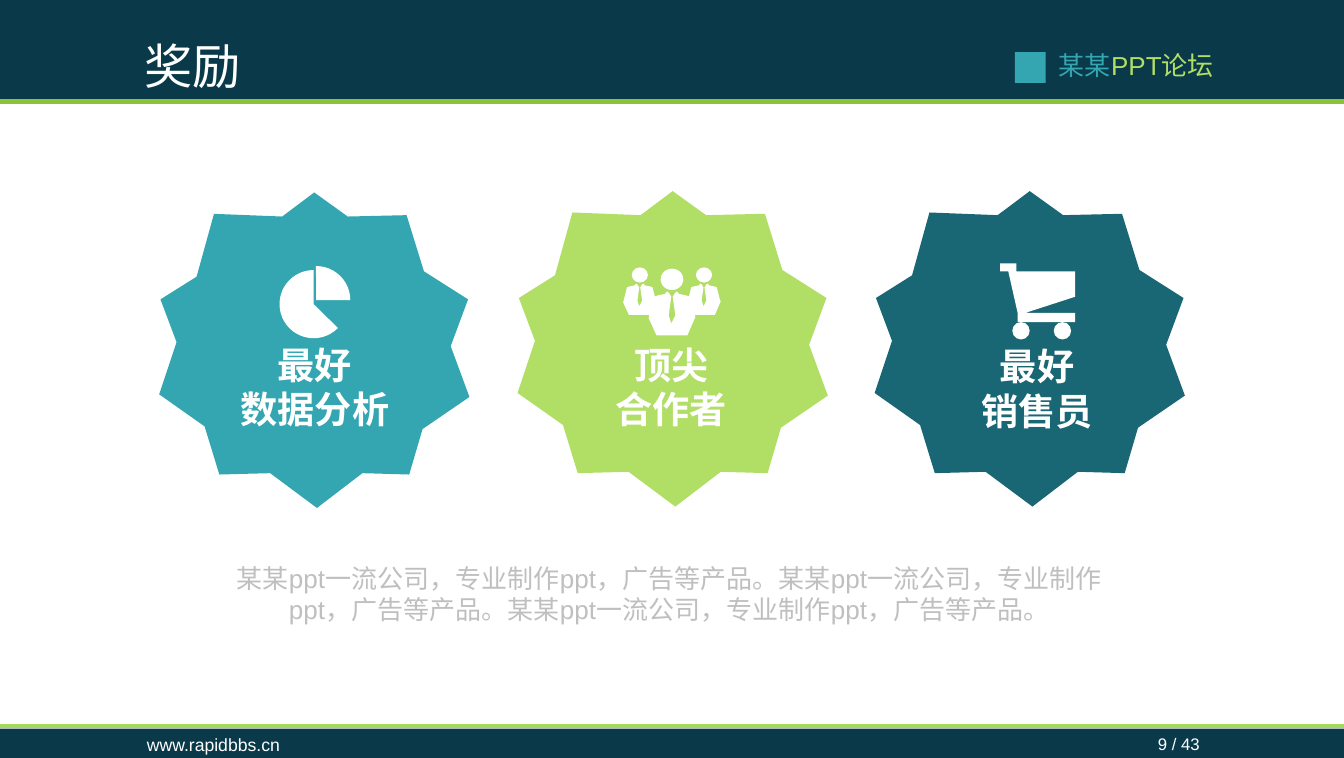
from lxml.etree import SubElement
from pptx import Presentation
from pptx.dml.color import RGBColor
from pptx.enum.shapes import MSO_CONNECTOR, MSO_SHAPE
from pptx.enum.text import PP_ALIGN
from pptx.oxml.ns import qn
from pptx.util import Inches, Pt

NAVY = RGBColor(0x0A, 0x3A, 0x4A)
TEAL = RGBColor(0x33, 0xA6, 0xB2)
DARK_TEAL = RGBColor(0x19, 0x66, 0x74)
LIME = RGBColor(0xB1, 0xDE, 0x64)
HEADER_GREEN = RGBColor(0x88, 0xC3, 0x3A)
FOOTER_GREEN = RGBColor(0xA7, 0xD7, 0x5B)
GRAY = RGBColor(0xBF, 0xBF, 0xBF)
WHITE = RGBColor(0xFF, 0xFF, 0xFF)

BAND_WIDTH = 10.07
BADGE_POINTS = [
    (0, 0), (0.25, 0.18), (0.69, 0.17), (0.82, 0.59), (1.15, 0.8),
    (1.02, 1.15), (1.16, 1.53), (0.81, 1.77), (0.71, 2.11), (0.36, 2.1),
    (0.02, 2.36), (-0.33, 2.1), (-0.71, 2.11), (-0.82, 1.75), (-1.16, 1.51),
    (-1.03, 1.12), (-1.15, 0.8), (-0.88, 0.63), (-0.75, 0.16), (-0.24, 0.18),
]
PERSON_POINTS = [
    (0.14, 0.17), (0.15, 0.18), (0.17, 0.21), (0.15, 0.35), (0.17, 0.41),
    (0.2, 0.35), (0.18, 0.21), (0.2, 0.18), (0.21, 0.17), (0.23, 0.19),
    (0.28, 0.2), (0.31, 0.21), (0.34, 0.33), (0.35, 0.36), (0.29, 0.5),
    (0.06, 0.5), (0, 0.37), (0.04, 0.21), (0.07, 0.2), (0.12, 0.19),
]
CART_POINTS = [
    (0, 0), (0.12, 0), (0.12, 0.06), (0.56, 0.06), (0.56, 0.25), (0.19, 0.37),
    (0.56, 0.37), (0.56, 0.44), (0.13, 0.44), (0.13, 0.37), (0.06, 0.06), (0, 0.06),
]
BADGES = [
    (2.35, 1.44, TEAL, 1.58, 2.51, 1.55, ("最好", "数据分析")),
    (5.03, 1.43, LIME, 4.31, 2.51, 1.42, ("顶尖", "合作者")),
    (7.7, 1.43, DARK_TEAL, 6.98, 2.52, 1.55, ("最好", "销售员")),
]
DESCRIPTION = "某某ppt一流公司，专业制作ppt，广告等产品。" * 3


def paint(shape, color):
    """Give a shape a plain fill without line or shadow."""
    shape.shadow.inherit = False
    shape.fill.solid()
    shape.fill.fore_color.rgb = color
    shape.line.fill.background()


def add_preset(slide, kind, left, top, width, height, color):
    """Add a filled preset shape."""
    shape = slide.shapes.add_shape(
        kind, Inches(left), Inches(top), Inches(width), Inches(height))
    paint(shape, color)
    return shape


def add_outline(slide, left, top, points, color, scale=1):
    """Add a filled polygon from points relative to left and top."""
    corners = [(Inches(left + x * scale), Inches(top + y * scale)) for x, y in points]
    builder = slide.shapes.build_freeform(*corners[0])
    builder.add_line_segments(corners[1:], close=True)
    paint(builder.convert_to_shape(), color)


def add_rule(slide, top, color):
    """Add a horizontal line across the slide."""
    rule = slide.shapes.add_connector(
        MSO_CONNECTOR.STRAIGHT, 0, Inches(top), Inches(BAND_WIDTH), Inches(top))
    rule.line.color.rgb = color
    rule.line.width = Pt(2.5)
    SubElement(rule._element.spPr, qn("a:effectLst"))


def add_text(slide, left, top, width, height, lines, size,
             align=PP_ALIGN.LEFT, bold=False):
    """Add a text box whose lines are lists of text and colour runs."""
    box = slide.shapes.add_textbox(
        Inches(left), Inches(top), Inches(width), Inches(height))
    frame = box.text_frame
    frame.word_wrap = True
    for index, runs in enumerate(lines):
        paragraph = frame.add_paragraph() if index else frame.paragraphs[0]
        paragraph.alignment = align
        for text, color in runs:
            run = paragraph.add_run()
            run.text = text
            run.font.name = "Arial"
            run.font.size = Pt(size)
            run.font.bold = bold
            run.font.color.rgb = color


def add_pie(slide, left, top, start, end):
    """Add a pie slice between two clockwise angles in degrees."""
    pie = add_preset(slide, MSO_SHAPE.PIE, left, top, 0.51, 0.51, WHITE)
    pie.adjustments[0] = start * 0.6
    pie.adjustments[1] = end * 0.6


def add_person(slide, left, top, scale):
    """Add a person with a tie."""
    add_outline(slide, left, top, PERSON_POINTS, WHITE, scale)
    add_preset(slide, MSO_SHAPE.OVAL, left + 0.09 * scale, top,
               0.17 * scale, 0.16 * scale, WHITE)


def add_cart(slide, left, top):
    """Add a shopping cart with two wheels."""
    add_outline(slide, left, top, CART_POINTS, WHITE)
    for offset in (0.09, 0.4):
        add_preset(slide, MSO_SHAPE.OVAL, left + offset, top + 0.44, 0.13, 0.13, WHITE)


def add_header(slide):
    """Add the title band with the forum name."""
    add_preset(slide, MSO_SHAPE.RECTANGLE, 0, -0.01, BAND_WIDTH, 0.76, NAVY)
    add_preset(slide, MSO_SHAPE.RECTANGLE, 7.59, 0.39, 0.23, 0.23, TEAL)
    add_rule(slide, 0.76, HEADER_GREEN)
    add_text(slide, 0.98, 0.22, 3.51, 0.54, [[("奖励", WHITE)]], 26)
    add_text(slide, 7.82, 0.32, 1.91, 0.34, [[("某某", TEAL), ("PPT论坛", LIME)]], 14)


def add_footer(slide):
    """Add the bottom band with address and page number."""
    add_preset(slide, MSO_SHAPE.RECTANGLE, 0, 5.45, BAND_WIDTH, 0.22, NAVY)
    add_rule(slide, 5.43, FOOTER_GREEN)
    add_text(slide, 8.52, 5.44, 0.59, 0.25, [[("9 / 43", WHITE)]], 9, PP_ALIGN.CENTER)
    add_text(slide, 1, 5.44, 1.49, 0.26, [[("www.rapidbbs.cn", WHITE)]], 9.5)


def main():
    """Build the awards slide."""
    presentation = Presentation()
    presentation.slide_width = Inches(10.05)
    presentation.slide_height = Inches(5.67)
    slide = presentation.slides.add_slide(presentation.slide_layouts[6])
    add_header(slide)
    add_footer(slide)
    add_text(slide, 1.58, 4.16, 6.85, 0.57, [[(DESCRIPTION, GRAY)]], 14, PP_ALIGN.CENTER)
    for tip_x, tip_y, color, left, top, width, lines in BADGES:
        add_outline(slide, tip_x, tip_y, BADGE_POINTS, color)
        add_text(slide, left, top, width, 0.77, [[(line, WHITE)] for line in lines],
                 20, PP_ALIGN.CENTER, True)
    add_pie(slide, 2.09, 2.02, 44.48, 270)
    add_pie(slide, 2.11, 1.99, 269.47, 360)
    for left, top, scale in ((4.85, 2.01, 1), (4.66, 2, 0.71), (5.14, 2, 0.71)):
        add_person(slide, left, top, scale)
    add_cart(slide, 7.48, 1.97)
    presentation.save("out.pptx")


if __name__ == "__main__":
    main()
